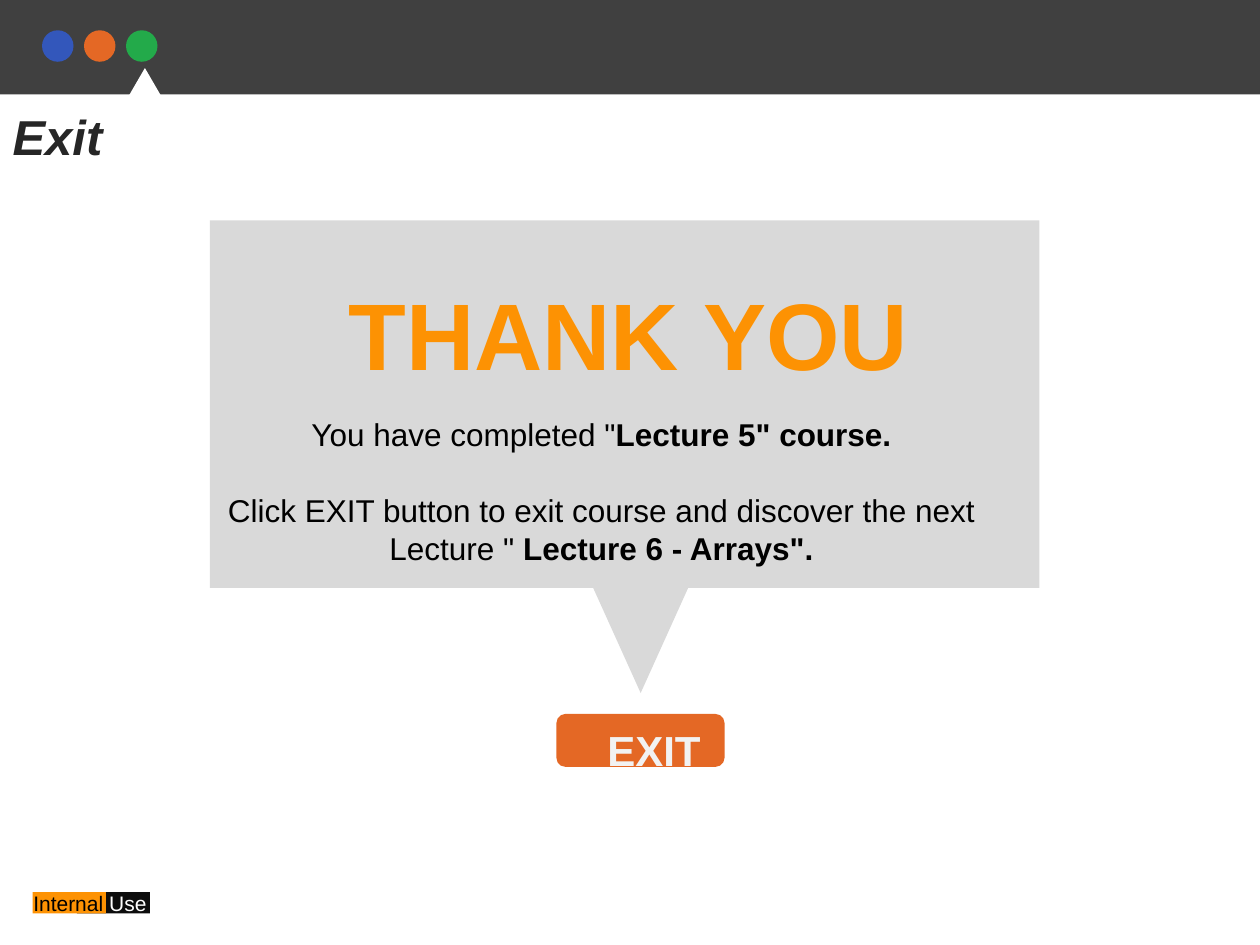
from pptx import Presentation
from pptx.dml.color import RGBColor
from pptx.enum.shapes import MSO_SHAPE
from pptx.enum.text import MSO_ANCHOR, PP_ALIGN
from pptx.util import Pt

THEME = {
    "font": "Arial",
    "colors": {
        "bar": "404040", "blue": "3357BB", "orange": "E46825", "green": "23AA4A",
        "white": "FFFFFF", "black": "000000", "ink": "0D0D0D", "amber": "FD9203",
        "panel": "D9D9D9", "title": "262626", "button_text": "F2F2F2",
    },
    "sizes": {"tag": 12, "message": 18, "button": 24, "title": 28, "thanks": 54},
}
DOTS = ["blue", "orange", "green"]
DOT_LEFT, DOT_TOP, DOT_SIZE, DOT_PITCH = 24, 17.3, 18, 24

HEADER = [
    (MSO_SHAPE.RECTANGLE, (0, 0, 720, 54), "bar", 0),
    *[(MSO_SHAPE.OVAL, (DOT_LEFT + i * DOT_PITCH, DOT_TOP, DOT_SIZE, DOT_SIZE), color, 0)
      for i, color in enumerate(DOTS)],
    (MSO_SHAPE.ISOSCELES_TRIANGLE, (61.9, 38.9, 41.8, 36), "white", 0),
]
TAG = [
    (MSO_SHAPE.RECTANGLE, (43.9, 509.8, 41.8, 12.2), "ink", 0),
    (MSO_SHAPE.RECTANGLE, (18.7, 509.8, 41.8, 12.2), "amber", 0),
]
CALLOUT = [
    (MSO_SHAPE.ISOSCELES_TRIANGLE, (336.2, 329.8, 59.8, 66.2), "panel", 180),
    (MSO_SHAPE.RECTANGLE, (120, 126, 474, 210), "panel", 0),
    (MSO_SHAPE.ROUNDED_RECTANGLE, (318, 408, 96, 30.2), "orange", 0),
]

TITLE_BOX = (0, 54.7, 686, 41)
TITLE = [[("Exit", "title", True)]]
TAG_TEXT = [[("Internal ", "black", False), ("Use", "white", False)]]
MESSAGE = [
    [('You have completed "', "black", False), ('Lecture 5" course.', "black", True)],
    [('Click EXIT button to exit course and discover the next Lecture "', "black", False),
     (' Lecture 6 - Arrays".', "black", True)],
]
TEXTS = [
    ((96, 231.8, 495.4, 123.8), MESSAGE, "message", PP_ALIGN.CENTER),
    ((192, 149, 342, 72.7), [[("THANK YOU", "amber", True)]], "thanks", PP_ALIGN.LEFT),
    ((340, 408, 96, 30.2), [[("EXIT", "button_text", True)]], "button", PP_ALIGN.LEFT),
]


def rgb(name):
    return RGBColor.from_string(THEME["colors"][name])


def place(sp, box):
    sp.left, sp.top, sp.width, sp.height = [Pt(v) for v in box]


def add_shapes(s, items):
    for kind, box, color, rotation in items:
        sp = s.shapes.add_shape(kind, *[Pt(v) for v in box])
        sp.shadow.inherit = False
        sp.fill.solid()
        sp.fill.fore_color.rgb = rgb(color)
        sp.line.fill.background()
        sp.rotation = rotation


def write(sp, paragraphs, size_name, align=PP_ALIGN.LEFT, italic=False):
    size = THEME["sizes"][size_name]
    tf = sp.text_frame
    tf.word_wrap = True
    tf.vertical_anchor = MSO_ANCHOR.TOP
    tf.margin_top = Pt(3.6 + 0.09 * size)
    for i, runs in enumerate(paragraphs):
        p = tf.add_paragraph() if i else tf.paragraphs[0]
        p.alignment = align
        p.line_spacing = 1.0
        p.space_before = Pt(22 if i else 0)
        for text, color, bold in runs:
            r = p.add_run()
            r.text = text
            r.font.name = THEME["font"]
            r.font.size = Pt(size)
            r.font.bold = bold
            r.font.italic = italic
            r.font.color.rgb = rgb(color)


def add_text(s, box, paragraphs, size_name, align=PP_ALIGN.LEFT):
    sp = s.shapes.add_textbox(*[Pt(v) for v in box])
    write(sp, paragraphs, size_name, align)


prs = Presentation()
prs.slide_width, prs.slide_height = Pt(720), Pt(540)
s = prs.slides.add_slide(prs.slide_layouts[5])

place(s.shapes.title, TITLE_BOX)
write(s.shapes.title, TITLE, "title", italic=True)
add_shapes(s, HEADER + TAG)
add_text(s, (12, 504, 108, 21.6), TAG_TEXT, "tag")
add_shapes(s, CALLOUT)
for text in TEXTS:
    add_text(s, *text)

prs.save("out.pptx")
